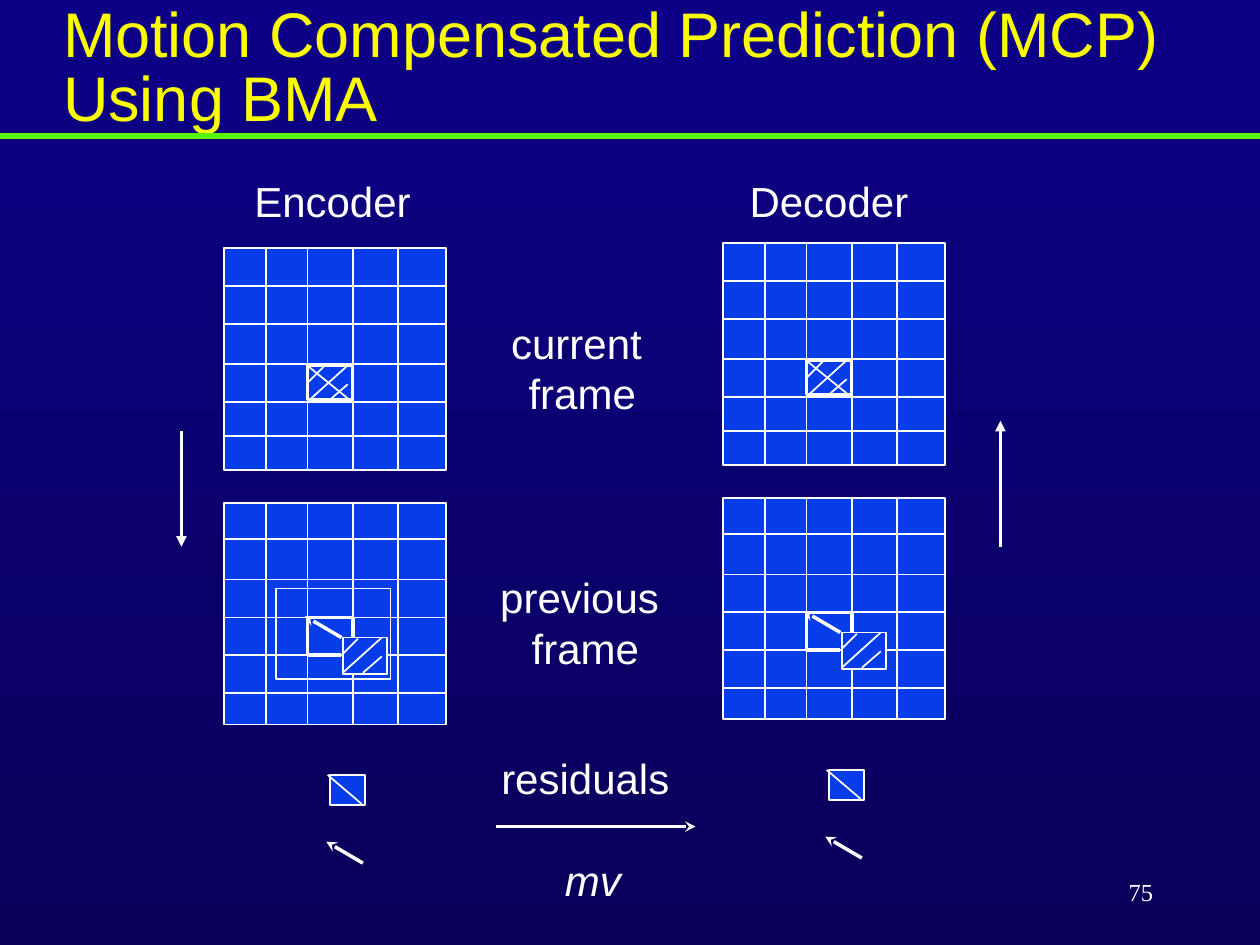
from lxml import etree
from pptx import Presentation
from pptx.dml.color import RGBColor
from pptx.enum.shapes import MSO_CONNECTOR, MSO_SHAPE
from pptx.enum.text import MSO_ANCHOR, PP_ALIGN
from pptx.oxml.ns import qn
from pptx.util import Inches, Pt

STRAIGHT, RECTANGLE = MSO_CONNECTOR.STRAIGHT, MSO_SHAPE.RECTANGLE
LEFT, CENTER, RIGHT = PP_ALIGN.LEFT, PP_ALIGN.CENTER, PP_ALIGN.RIGHT
TOP, MIDDLE = MSO_ANCHOR.TOP, MSO_ANCHOR.MIDDLE
COLORS = {"top": "0D0086", "bottom": "090059", "rule": "5AF400",
          "title": "FAFD00", "block": "063DE8", "white": "FFFFFF"}

# Content: text, box (left, top, width, height), alignment, anchor, font
TITLE = "Motion Compensated Prediction (MCP) Using BMA"
BODY_FONT = {"name": "Arial", "size": Pt(24)}
LABELS = [
    (["Encoder"], (1.92, 1.34, 1.46, 0.51), LEFT, TOP, BODY_FONT),
    (["Decoder"], (5.85, 1.34, 1.48, 0.51), LEFT, TOP, BODY_FONT),
    (["current", " frame"], (3.95, 2.47, 1.25, 0.91), CENTER, TOP, BODY_FONT),
    (["previous", " frame"], (3.86, 4.49, 1.48, 0.91), CENTER, TOP, BODY_FONT),
    (["residuals"], (3.87, 5.92, 1.55, 0.51), CENTER, TOP, BODY_FONT),
    (["mv"], (4.38, 6.73, 0.65, 0.51), CENTER, TOP, {**BODY_FONT, "italic": True}),
    (["75"], (7.17, 6.83, 2.08, 0.5), RIGHT, MIDDLE,
     {"name": "Times New Roman", "size": Pt(14)}),
]
FLOW_ARROWS = [  # start, end, arrowhead
    ((3.94, 6.56), (5.52, 6.56), "stealth"),
    ((1.44, 3.42), (1.44, 4.34), "triangle"),
    ((7.94, 4.34), (7.94, 3.34), "triangle"),
]

# Frames, in encoder coordinates; the decoder is the same drawing shifted
DECODER_SHIFT = (3.96, -0.04)
FRAME_LEFT, FRAME_SIZE = 1.78, 1.76
COLUMNS = [2.11, 2.44, 2.8, 3.16]
FRAMES = [  # frame top, row lines
    (1.97, [2.27, 2.57, 2.89, 3.19, 3.46]),
    (3.99, [4.28, 4.6, 4.9, 5.2, 5.5]),
]
HATCH = [  # relative to the block corner
    ((0.13, 0.01), (0.01, 0.13)),
    ((0.32, 0), (0.01, 0.28)),
    ((0.32, 0.15), (0.17, 0.28)),
]
CROSS_HATCH = HATCH + [((0.01, 0.01), (0.33, 0.27))]
TARGET_EDGES = [
    ((2.44, 4.9), (2.44, 5.2)), ((2.44, 4.9), (2.8, 4.9)),
    ((2.44, 5.2), (2.71, 5.2)), ((2.8, 4.9), (2.8, 5.06)),
]
MOTION_VECTORS = [((2.71, 5.06), (2.42, 4.89)), ((2.88, 6.85), (2.59, 6.68))]


def rgb(name):
    return RGBColor.from_string(COLORS[name])


def add_line(start, end, width=1, color="white", head=None, shift=(0, 0)):
    points = [Inches(value + move) for point in (start, end)
              for value, move in zip(point, shift)]
    connector = slide.shapes.add_connector(STRAIGHT, *points)
    connector.line.color.rgb = rgb(color)
    connector.line.width = Pt(width)
    properties = connector._element.spPr
    if head:
        etree.SubElement(properties.find(qn("a:ln")), qn("a:tailEnd"), type=head)
    etree.SubElement(properties, qn("a:effectLst"))


def add_block(left, top, width, height, shift, line_width=1, filled=True):
    shape = slide.shapes.add_shape(
        RECTANGLE, Inches(left + shift[0]), Inches(top + shift[1]),
        Inches(width), Inches(height))
    shape.shadow.inherit = False
    if filled:
        shape.fill.solid()
        shape.fill.fore_color.rgb = rgb("block")
    else:
        shape.fill.background()
    shape.line.color.rgb = rgb("white")
    shape.line.width = Pt(line_width)


def add_hatch(left, top, strokes, shift):
    corner = (left + shift[0], top + shift[1])
    for start, end in strokes:
        add_line(start, end, shift=corner)


def style_paragraph(paragraph, alignment, color, font):
    paragraph.alignment = alignment
    paragraph.font.color.rgb = rgb(color)
    for key, value in font.items():
        setattr(paragraph.font, key, value)


def add_label(lines, box, alignment, anchor, font):
    frame = slide.shapes.add_textbox(*map(Inches, box)).text_frame
    frame.word_wrap = False
    frame.vertical_anchor = anchor
    frame.text = "\n".join(lines)
    for paragraph in frame.paragraphs:
        style_paragraph(paragraph, alignment, "white", font)


def add_side(shift, search_window):
    # Current and previous frames with their grids
    for top, rows in FRAMES:
        add_block(FRAME_LEFT, top, FRAME_SIZE, FRAME_SIZE, shift)
        for y in rows:
            add_line((FRAME_LEFT, y), (FRAME_LEFT + FRAME_SIZE, y), shift=shift)
        for x in COLUMNS:
            add_line((x, top), (x, top + FRAME_SIZE), shift=shift)
    # Block being coded
    add_block(2.44, 2.9, 0.36, 0.27, shift, line_width=2)
    add_hatch(2.44, 2.9, CROSS_HATCH, shift)
    # Search window, block position and best match
    if search_window:
        add_block(2.19, 4.67, 0.91, 0.72, shift, filled=False)
    for start, end in TARGET_EDGES:
        add_line(start, end, 2, shift=shift)
    add_block(2.72, 5.06, 0.35, 0.29, shift)
    add_hatch(2.71, 5.06, HATCH, shift)
    # Residual block and motion vectors
    add_block(2.62, 6.15, 0.28, 0.24, shift)
    add_line((2.6, 6.15), (2.87, 6.38), shift=shift)
    for start, end in MOTION_VECTORS:
        add_line(start, end, 2, head="stealth", shift=shift)


presentation = Presentation()
presentation.slide_width, presentation.slide_height = Inches(10), Inches(7.5)
slide = presentation.slides.add_slide(presentation.slide_layouts[5])

# Background and rule under the title
background = slide.background.fill
background.gradient()
background.gradient_angle = 270
for stop, name in zip(background.gradient_stops, ("top", "bottom")):
    stop.color.rgb = rgb(name)
add_line((0, 1.08), (10, 1.08), 3, "rule")

# Title
title = slide.shapes.title
title.left, title.top, title.width, title.height = map(Inches, (0.4, 0, 9.6, 1.12))
title.text_frame.text = TITLE
title.text_frame.word_wrap = True
title.text_frame.vertical_anchor = TOP
heading = title.text_frame.paragraphs[0]
heading.line_spacing = 0.85
style_paragraph(heading, LEFT, "title", {"name": "Arial", "size": Pt(36)})

# Encoder, decoder, arrows between them and labels
add_side((0, 0), search_window=True)
add_side(DECODER_SHIFT, search_window=False)
for start, end, head in FLOW_ARROWS:
    add_line(start, end, 2, head=head)
for label in LABELS:
    add_label(*label)

presentation.save("out.pptx")
